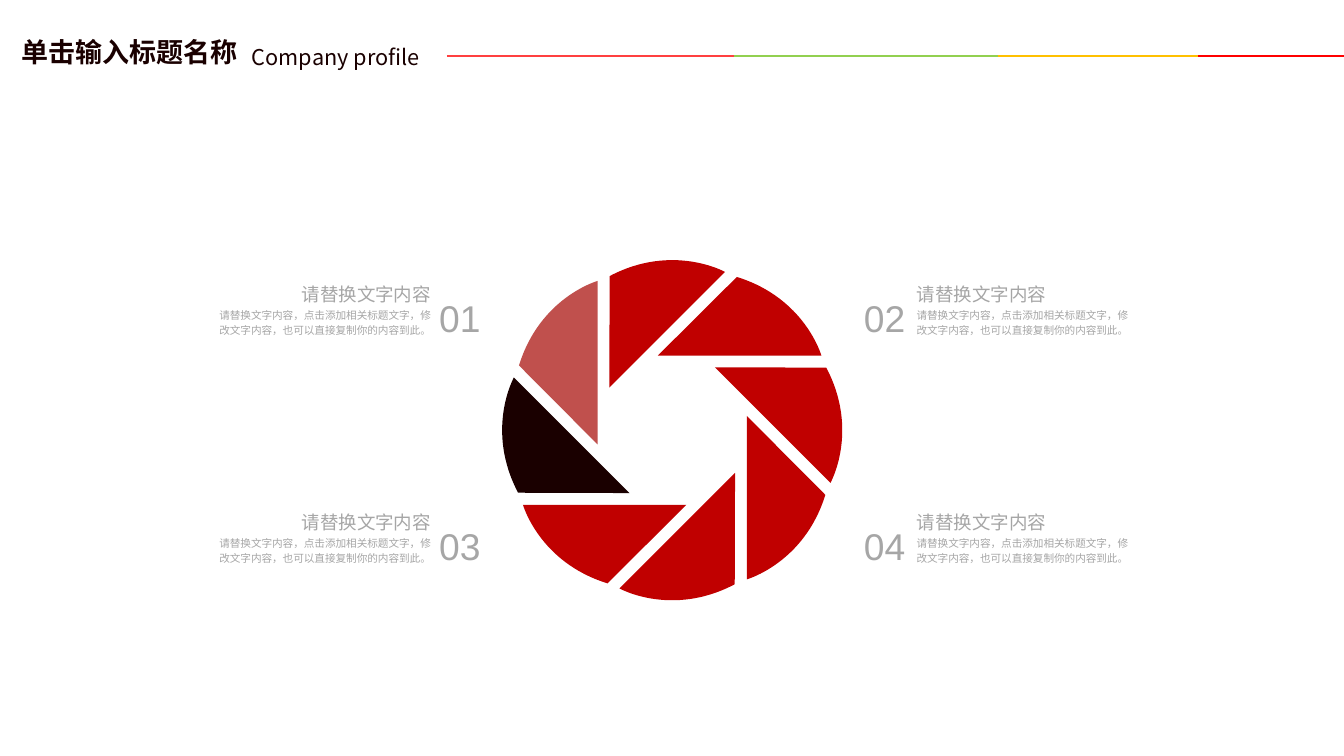
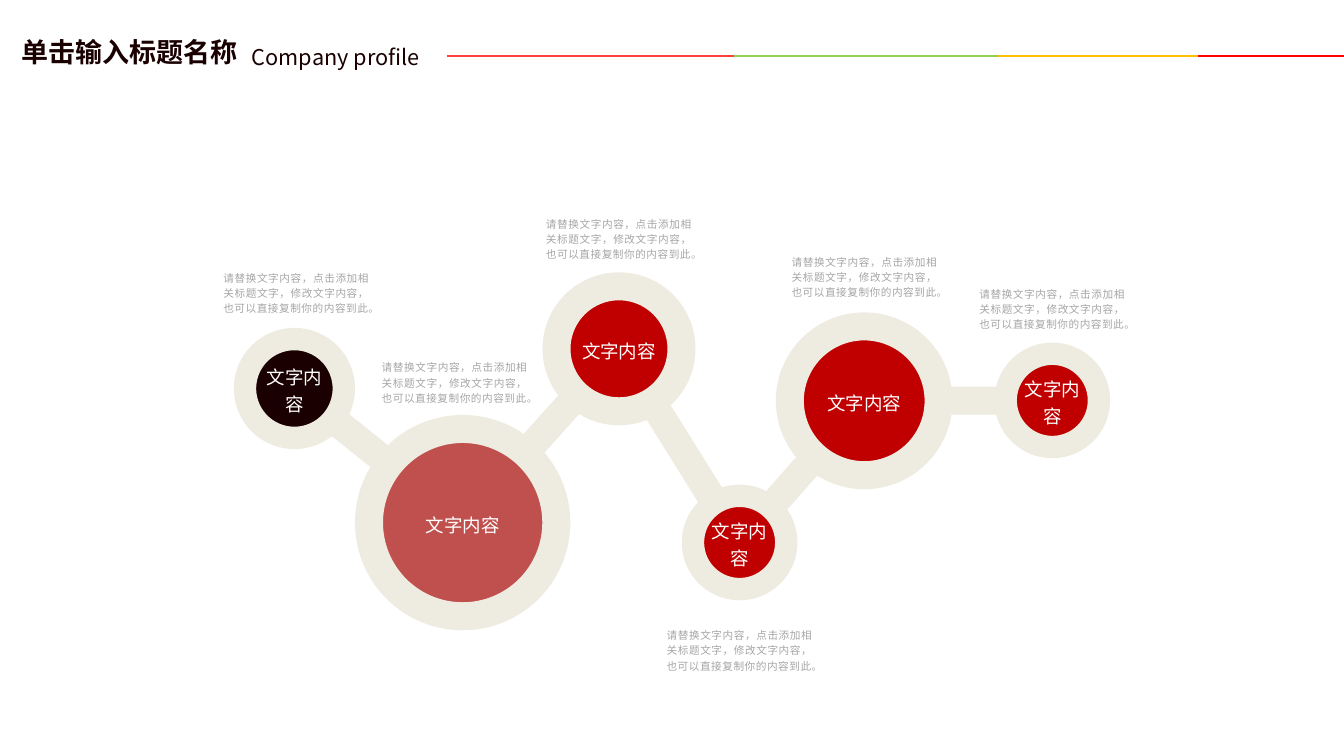
from itertools import pairwise
from math import cos, radians, sin

from lxml import etree
from pptx import Presentation
from pptx.dml.color import RGBColor
from pptx.enum import shapes, text
from pptx.oxml.ns import qn
from pptx.util import Cm, Pt

RED = RGBColor(0xC0, 0x00, 0x00)
ROSE = RGBColor(0xC0, 0x50, 0x4D)
DARK = RGBColor(0x1A, 0x00, 0x00)
GREY = RGBColor(0xA6, 0xA6, 0xA6)
CREAM = RGBColor(0xEE, 0xEC, 0xE1)
WHITE = RGBColor(0xFF, 0xFF, 0xFF)
CORAL = RGBColor(0xFF, 0x40, 0x40)
GREEN = RGBColor(0x92, 0xD0, 0x50)
AMBER = RGBColor(0xFF, 0xC0, 0x00)
BRIGHT_RED = RGBColor(0xFF, 0x00, 0x00)

LEFT, RIGHT = text.PP_ALIGN.LEFT, text.PP_ALIGN.RIGHT
CENTER, JUSTIFY = text.PP_ALIGN.CENTER, text.PP_ALIGN.JUSTIFY
CJK = "Noto Sans CJK SC"

# Text styles
TITLE = {"font": {"name": CJK, "size": Pt(19.3), "bold": True}, "color": DARK}
SUBTITLE = {"font": {"name": CJK, "size": Pt(15.5)}, "color": DARK}
NUMBER = {"font": {"name": "Arial", "size": Pt(26.6)}, "color": GREY, "spacing": 1.2}
HEADING = {"font": {"name": "Arial", "size": Pt(13.2)}, "color": GREY, "spacing": 1.2}
BODY = {"font": {"name": "Arial", "size": Pt(7.6)}, "color": GREY, "spacing": 1.2}
NODE = {**HEADING, "color": WHITE}

# Content; all places and sizes are in centimetres
SLIDE_SIZE = (33.87, 19.05)
HEADER = [
    ("单击输入标题名称", (0.29, 0.77, 6.48, 1.09), TITLE),
    ("Company profile", (6.1, 0.99, 6.48, 0.91), SUBTITLE),
]
RULE_Y = 1.42
RULE_STOPS = [11.26, 18.49, 25.15, 30.2, 33.87]
RULE_COLORS = [CORAL, GREEN, AMBER, BRIGHT_RED]

ITEM_HEADING = "请替换文字内容"
ITEM_BODY = "请替换文字内容，点击添加相关标题文字，修改文字内容，也可以直接复制你的内容到此。"
ITEM_ROWS = [("01", "02"), ("03", "04")]
ITEM_COLUMNS = [  # number left, heading left, body left, alignment
    (11.07, 7.56, 5.41, RIGHT),
    (21.77, 23.1, 23.1, LEFT),
]
ITEM_TOP, ITEM_PITCH = 7.02, 5.75
HEADING_WIDTH, BODY_WIDTH = 3.3, 5.45

RING_CENTER = (16.94, 10.84)
BLADE_COLORS = [RED, RED, RED, RED, ROSE, DARK, RED, RED]
# One blade, measured from the ring centre; the outer edge is a curve
BLADE_TIP, ARC_START, ARC_END = (1.88, -0.36), (1.88, 3.76), (3.86, 1.63)
ARC_PULL, ARC_MIDDLE = (3.33, 3.35), (2.67, 3.34)

NODE_LABEL = "文字内容"
NODES = [  # centre, diameter, outline points, fill, left and top of the note
    ((7.42, 9.79), 2.49, 16, DARK, (5.63, 6.78)),
    ((11.66, 13.17), 4.72, 20, ROSE, (9.62, 9.04)),
    ((15.6, 8.79), 3.15, 20, RED, (13.76, 5.42)),
    ((18.64, 13.67), 2.35, 16, RED, (16.8, 15.78)),
    ((21.78, 10.1), 3.75, 20, RED, (19.95, 6.38)),
    ((26.52, 10.09), 2.35, 16, RED, (24.68, 7.18)),
]
NOTE_SIZE = (3.66, 1.17)


def write(frame, words, style, align=LEFT, inset=None):
    frame.word_wrap = True
    if inset is not None:
        for side in ("left", "top", "right", "bottom"):
            setattr(frame, f"margin_{side}", Cm(inset))
    para = frame.paragraphs[0]
    para.alignment = align
    para.line_spacing = style.get("spacing")
    span = para.add_run()
    span.text = words
    for name, value in style["font"].items():
        setattr(span.font, name, value)
    span.font.color.rgb = style["color"]
    east_asian = etree.SubElement(span._r.get_or_add_rPr(), qn("a:ea"))
    east_asian.set("typeface", style["font"]["name"])


def add_text(page, words, place, style, align=LEFT, inset=0):
    box = page.shapes.add_textbox(*map(Cm, place))
    write(box.text_frame, words, style, align, inset)


def add_line(page, start, end, color, points):
    line = page.shapes.add_connector(shapes.MSO_CONNECTOR.STRAIGHT, *map(Cm, (*start, *end)))
    line.line.color.rgb = color
    line.line.width = Pt(points)
    etree.SubElement(line._element.spPr, qn("a:effectLst"))


def add_page(deck):
    """Add a blank page with the shared title and coloured rule."""
    page = deck.slides.add_slide(deck.slide_layouts[6])
    for words, place, style in HEADER:
        add_text(page, words, place, style, inset=None)
    for (start, end), color in zip(pairwise(RULE_STOPS), RULE_COLORS):
        add_line(page, (start, RULE_Y), (end, RULE_Y), color, 1.5)
    return page


def turn(point, degrees):
    """Turn a point counterclockwise and place it around the ring centre."""
    x, y = point
    c, s = cos(radians(degrees)), sin(radians(degrees))
    return Cm(RING_CENTER[0] + x * c + y * s), Cm(RING_CENTER[1] + y * c - x * s)


def curve_edge(blade, controls):
    """Replace the two straight outer segments of a blade by one Bezier curve."""
    segments = list(blade._element.iter(qn("a:lnTo")))
    curve = etree.Element(qn("a:cubicBezTo"))
    for x, y in controls:
        point = etree.SubElement(curve, qn("a:pt"))
        point.set("x", str(x - blade.left))
        point.set("y", str(y - blade.top))
    outline = segments[1].getparent()
    outline.replace(segments[1], curve)
    outline.remove(segments[2])


def add_ring(page):
    for index, color in enumerate(BLADE_COLORS):
        tip, start, middle, pull, end = (
            turn(point, index * 360 / len(BLADE_COLORS))
            for point in (BLADE_TIP, ARC_START, ARC_MIDDLE, ARC_PULL, ARC_END)
        )
        builder = page.shapes.build_freeform(*tip)
        builder.add_line_segments([start, middle, end], close=True)
        blade = builder.convert_to_shape()
        curve_edge(blade, (start, pull, end))
        blade.shadow.inherit = False
        blade.fill.solid()
        blade.fill.fore_color.rgb = color
        blade.line.fill.background()


def add_items(page):
    for row, numbers in enumerate(ITEM_ROWS):
        top = ITEM_TOP + row * ITEM_PITCH
        for number, (number_left, heading_left, body_left, align) in zip(numbers, ITEM_COLUMNS):
            add_text(page, number, (number_left, top + 0.2, 1.06, 1.37), NUMBER)
            add_text(page, ITEM_HEADING, (heading_left, top, HEADING_WIDTH, 0.69), HEADING, align)
            add_text(page, ITEM_BODY, (body_left, top + 0.69, BODY_WIDTH, 0.79), BODY, align)


def add_chain(page):
    for (start, *_), (end, *_) in pairwise(NODES):
        add_line(page, start, end, CREAM, 20)
    for (x, y), size, points, color, note_corner in NODES:
        place = (x - size / 2, y - size / 2, size, size)
        node = page.shapes.add_shape(shapes.MSO_SHAPE.OVAL, *map(Cm, place))
        node.shadow.inherit = False
        node.fill.solid()
        node.fill.fore_color.rgb = color
        node.line.color.rgb = CREAM
        node.line.width = Pt(points)
        node.text_frame.vertical_anchor = text.MSO_ANCHOR.MIDDLE
        write(node.text_frame, NODE_LABEL, NODE, CENTER, inset=0)
        add_text(page, ITEM_BODY, (*note_corner, *NOTE_SIZE), BODY, JUSTIFY)


def main():
    deck = Presentation()
    deck.slide_width, deck.slide_height = map(Cm, SLIDE_SIZE)
    ring_page = add_page(deck)
    add_ring(ring_page)
    add_items(ring_page)
    add_chain(add_page(deck))
    deck.save("out.pptx")


if __name__ == "__main__":
    main()
